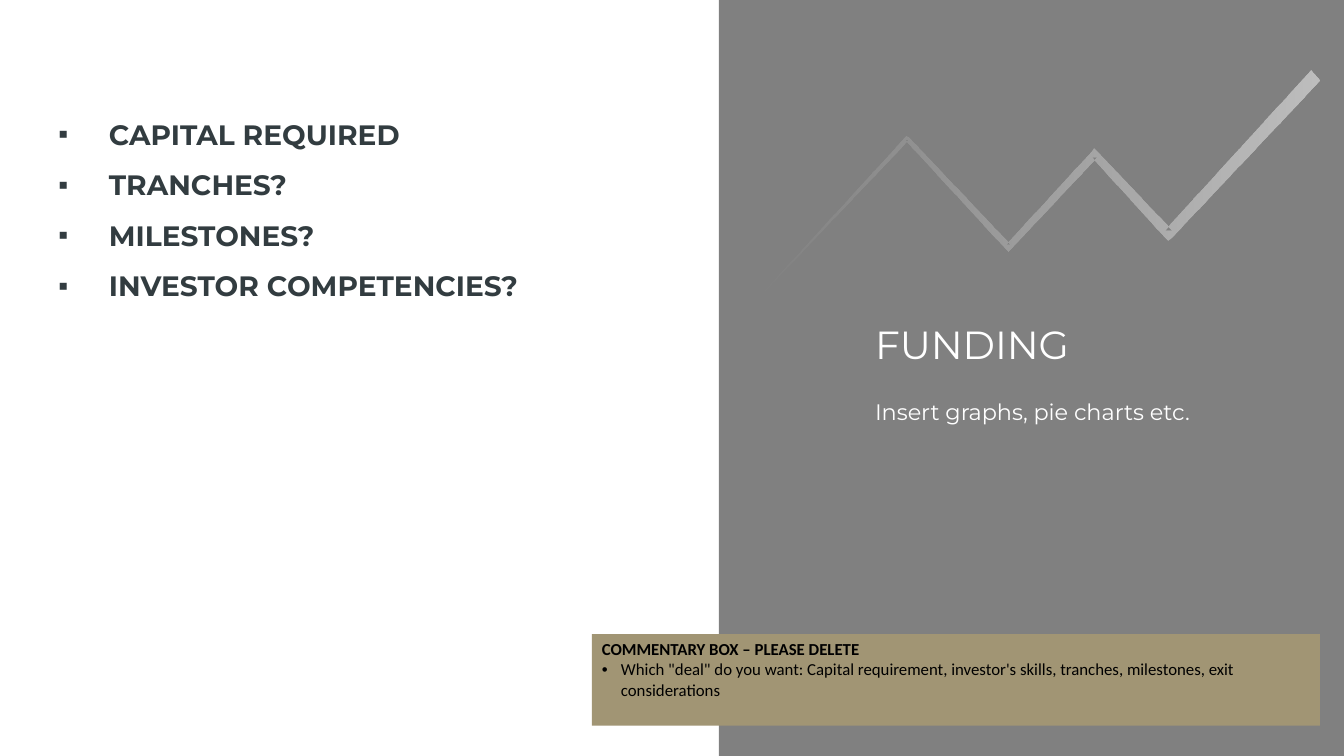
from lxml import etree
from pptx import Presentation
from pptx.dml.color import RGBColor
from pptx.enum.shapes import MSO_SHAPE
from pptx.enum.text import MSO_ANCHOR, PP_ALIGN
from pptx.oxml.ns import qn
from pptx.util import Inches, Pt

RECT = MSO_SHAPE.RECTANGLE
TOP = MSO_ANCHOR.TOP
LEFT = PP_ALIGN.LEFT
COLS, ROWS = 13.33, 7.5  # grid of one-inch cells
HEX = {"panel": "808080", "trend": "BFBFBF", "light": "FFFFFF",
       "dark": "323C40", "note": "A19574", "black": "000000"}
HEAD = {"size": Pt(28), "name": "Montserrat", "bold": False}
SUB = {"size": Pt(16), "name": "Montserrat", "bold": False}
ITEM = {"size": Pt(20), "name": "Montserrat", "bold": True}
LABEL = {"size": Pt(12), "name": "Calibri", "bold": True}
BODY = {"size": Pt(12), "name": "Calibri", "bold": False}
ITEMS = ["CAPITAL REQUIRED", "TRANCHES?", "MILESTONES?", "INVESTOR COMPETENCIES?"]
NOTE = ("Which \"deal\" do you want: Capital requirement, investor's skills, "
        "tranches, milestones, exit considerations")
# Outline of the rising line, in hundredths of a cell from its top left
TREND = [(0, 230), (151, 66), (152, 65), (154, 66), (255, 172), (251, 172),
         (336, 80), (338, 77), (341, 80), (415, 158), (408, 158), (553, 0),
         (562, 10), (415, 165), (411, 168), (408, 165), (336, 86), (341, 86),
         (255, 177), (253, 179), (251, 177), (151, 69), (154, 69)]


def cells(*spans):
    return [Inches(span) for span in spans]


def paint(shape, color):
    shape.shadow.inherit = False
    shape.line.fill.background()
    shape.fill.solid()
    shape.fill.fore_color.rgb = RGBColor.from_string(HEX[color])


def write(para, text, style, color, bullet=None, indent=0, spacing=1.0):
    para.alignment = LEFT
    para.line_spacing = spacing
    if bullet:
        props = para._p.get_or_add_pPr()
        props.set("marL", str(Inches(indent)))
        props.set("indent", str(-Inches(indent)))
        etree.SubElement(props, qn("a:buFont")).set("typeface", "Arial")
        etree.SubElement(props, qn("a:buChar")).set("char", bullet)
    run = para.add_run()
    run.text = text
    for key, value in style.items():
        setattr(run.font, key, value)
    run.font.color.rgb = RGBColor.from_string(HEX[color])


def text_box(slide, *box):
    frame = slide.shapes.add_textbox(*cells(*box)).text_frame
    frame.word_wrap = True
    return frame


def trend(slide, left, top):
    """Draw the rising line, fading in from the left."""
    pen = slide.shapes.build_freeform(*TREND[0], scale=Inches(0.01))
    pen.add_line_segments(TREND[1:], close=True)
    shape = pen.convert_to_shape(*cells(left, top))
    shape.shadow.inherit = False
    shape.line.fill.background()
    shape.fill.gradient()
    shape.fill.gradient_angle = 0
    for stop, place in zip(shape.fill.gradient_stops, (0, 1)):
        stop.position = place
        stop.color.rgb = RGBColor.from_string(HEX["trend"])
    first = next(shape._element.iter(qn("a:srgbClr")))
    etree.SubElement(first, qn("a:alpha")).set("val", "0")


def panel(slide, left, top, width, height):
    paint(slide.shapes.add_shape(RECT, *cells(left, top, width, height)), "panel")
    trend(slide, left + 0.34, top + 0.7)
    inset = left + 1.45
    title = text_box(slide, inset, top + 3.18, 2.41, 0.87)
    write(title.paragraphs[0], "FUNDING", HEAD, "light", spacing=0.9)
    sub = text_box(slide, inset, top + 3.9, 3.68, 0.37)
    write(sub.paragraphs[0], "Insert graphs, pie charts etc.", SUB, "light")


def topics(slide, *box):
    frame = text_box(slide, *box)
    for side in ("left", "top", "right", "bottom"):
        setattr(frame, "margin_" + side, 0)
    for row, item in enumerate(ITEMS):
        para = frame.add_paragraph() if row else frame.paragraphs[0]
        write(para, item, ITEM, "dark", "▪", 0.5, 1.5)


def comment(slide, *box):
    shape = slide.shapes.add_shape(RECT, *cells(*box))
    paint(shape, "note")
    frame = shape.text_frame
    frame.word_wrap = True
    frame.vertical_anchor = TOP
    write(frame.paragraphs[0], "COMMENTARY BOX – PLEASE DELETE", LABEL, "black")
    write(frame.add_paragraph(), NOTE, BODY, "black", "•", 0.19)


def main():
    deck = Presentation()
    deck.slide_width, deck.slide_height = cells(COLS, ROWS)
    slide = deck.slides.add_slide(deck.slide_layouts[6])
    panel(slide, COLS - 6.2, 0, 6.2, ROWS)
    topics(slide, 0.58, 1, 6.08, 3.06)
    comment(slide, 5.87, ROWS - 1.21, 7.22, 0.91)
    deck.save("out.pptx")


if __name__ == "__main__":
    main()
